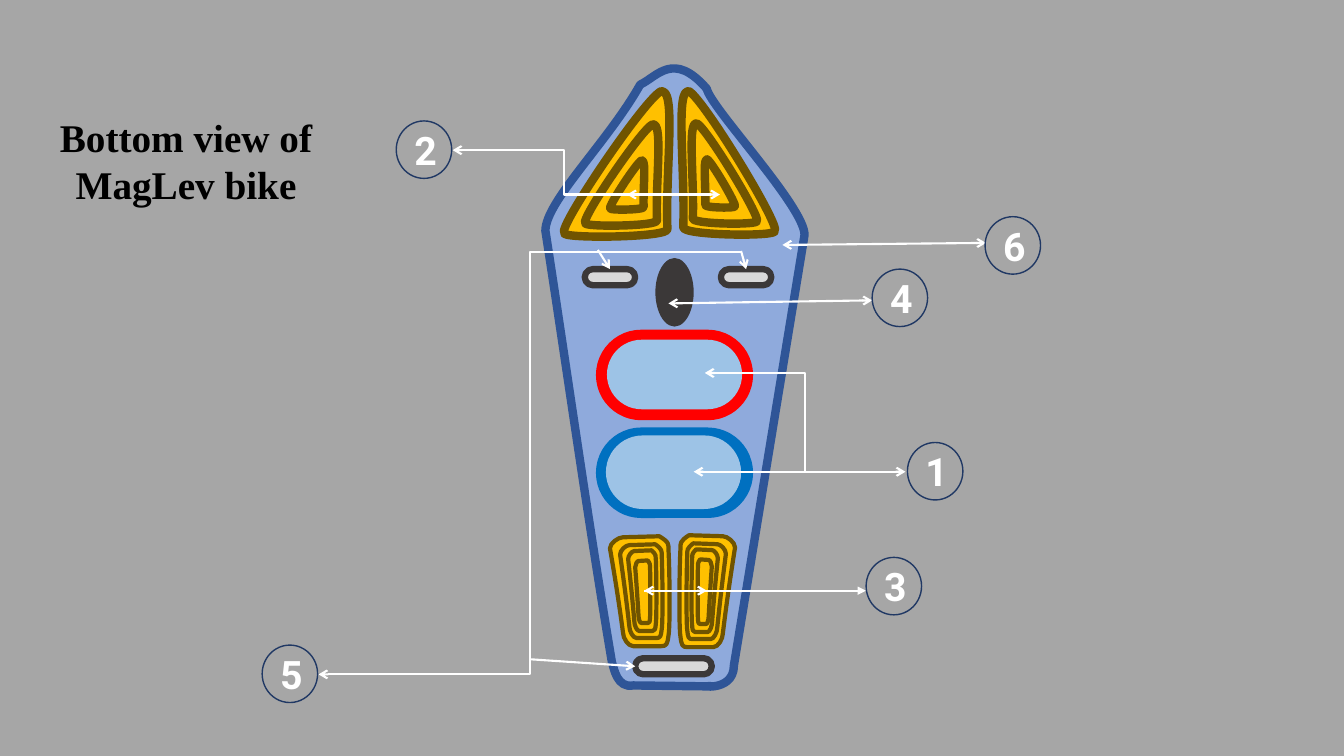
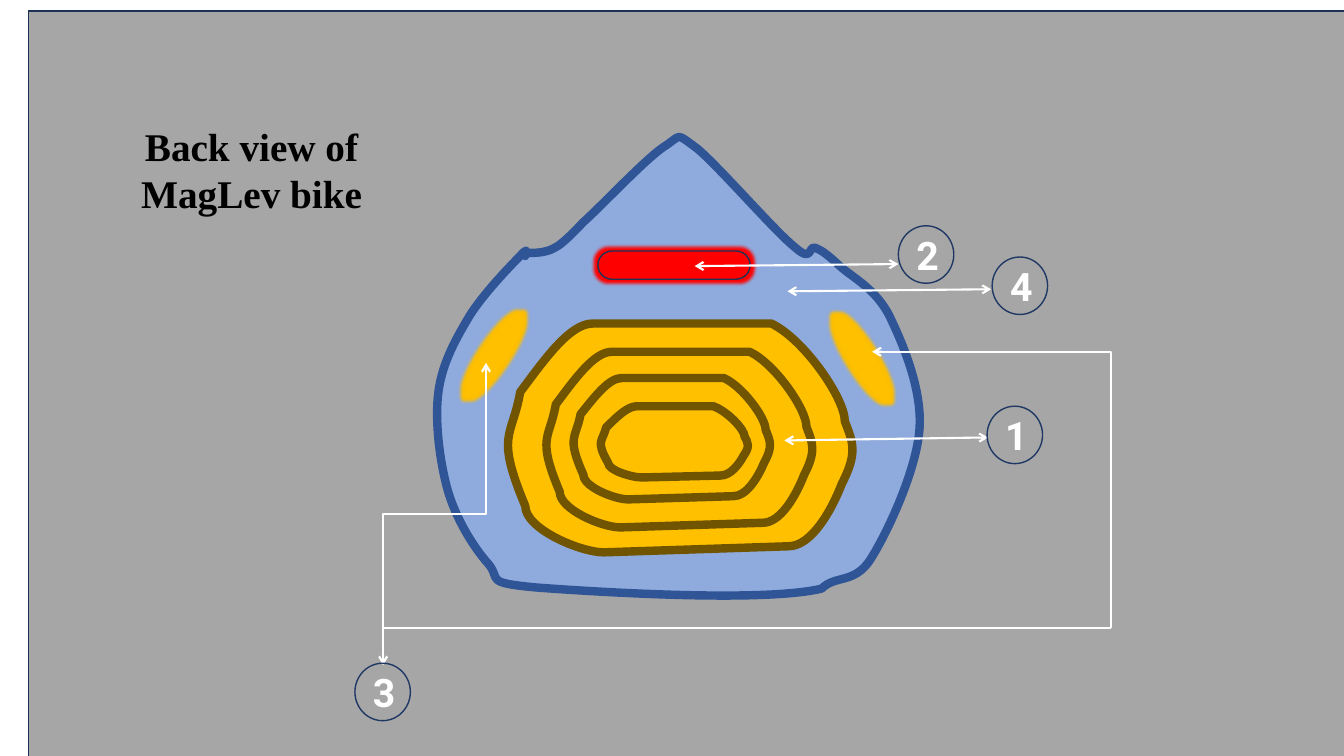
from dataclasses import dataclass
from typing import NamedTuple, Optional

from lxml.etree import SubElement
from pptx import Presentation
from pptx.dml.color import RGBColor
from pptx.enum.shapes import MSO_CONNECTOR, MSO_SHAPE
from pptx.enum.text import MSO_ANCHOR, MSO_AUTO_SIZE, PP_ALIGN
from pptx.oxml.ns import qn
from pptx.util import Inches, Pt


@dataclass(frozen=True)
class Theme:
    backdrop: str = "A6A6A6"
    hull: str = "8FAADC"
    hull_edge: str = "2F5597"
    coil: str = "FFC000"
    coil_edge: str = "705400"
    dark: str = "3B3838"
    light: str = "D9D9D9"
    tank: str = "9DC3E6"
    hot: str = "FF0000"
    cold: str = "0070C0"
    navy: str = "1E3256"
    badge_edge: str = "203864"
    white: str = "FFFFFF"
    black: str = "000000"
    title_font: str = "Times New Roman"
    badge_font: str = "Roboto"
    text_size: int = 28
    arrow_width: float = 1.5
    hull_width: float = 6
    glow: float = 5


THEME = Theme()


class Box(NamedTuple):
    left: float
    top: float
    width: float
    height: float

    def lengths(self) -> list:
        return [Inches(v) for v in self]


class Outline(NamedTuple):
    """A closed path; a step holds one point (line) or three (cubic curve)."""
    box: Box
    start: tuple
    steps: list


class Arrow(NamedTuple):
    begin: tuple
    end: tuple
    head: Optional[str] = "arrow"
    tail: Optional[str] = "arrow"
    geometry: str = "line"
    upright: bool = False


class Badge(NamedTuple):
    number: str
    left: float
    top: float


BOTTOM_HULL = Outline(Box(5.41, 0.68, 2.57, 6.13), (5.41, 2.29), [
    ((5.41, 2), (6.03, 1.41), (6.35, 0.84)),
    ((6.52, 0.76), (6.68, 0.5), (7.01, 0.88)),
    ((7.05, 1.07), (7.98, 2.05), (7.98, 2.33)),
    ((7.28, 6.6),),
    ((7.28, 6.89), (6.86, 6.79), (7.08, 6.81)),
    ((6.28, 6.8),),
    ((6.12, 6.83), (6.09, 6.63), (6.07, 6.57)),
    ((5.83, 5.15), (5.63, 3.71), (5.41, 2.29)),
])
FRONT_COIL = Outline(Box(5.59, 0.9, 1.05, 1.45), (6.62, 2.27), [
    ((6.6, 1.73), (6.7, 0.95), (6.58, 0.91)),
    ((6.53, 0.78), (5.5, 2.29), (5.6, 2.31)),
    ((5.53, 2.37), (6.66, 2.36), (6.62, 2.27)),
])
REAR_COIL = Outline(Box(6.05, 5.32, 0.59, 1.09), (6.05, 5.44), [
    ((6.05, 5.39), (6.13, 5.33), (6.18, 5.33)),
    ((6.54, 5.32),),
    ((6.64, 5.38), (6.63, 5.4), (6.63, 5.45)),
    ((6.64, 5.57), (6.65, 6.22), (6.63, 6.31)),
    ((6.62, 6.39), (6.61, 6.41), (6.56, 6.41)),
    ((6.28, 6.41),),
    ((6.23, 6.41), (6.18, 6.33), (6.18, 6.28)),
    ((6.14, 5.98), (6.1, 5.73), (6.05, 5.44)),
])
BACK_HULL = Outline(Box(4.34, 1.36, 4.78, 4.56), (5.22, 2.51), [
    ((5.31, 2.51), (5.41, 2.51), (5.5, 2.46)),
    ((5.59, 2.42), (5.78, 2.21), (5.78, 2.21)),
    ((5.96, 2.05), (6.39, 1.59), (6.58, 1.46)),
    ((6.77, 1.34), (6.69, 1.31), (6.91, 1.47)),
    ((7.12, 1.64), (7.68, 2.29), (7.88, 2.45)),
    ((8.07, 2.62), (8.01, 2.43), (8.09, 2.46)),
    ((8.16, 2.49), (8.21, 2.53), (8.33, 2.64)),
    ((8.45, 2.75), (8.68, 2.86), (8.82, 3.13)),
    ((8.95, 3.4), (9.15, 3.86), (9.12, 4.26)),
    ((9.09, 4.66), (8.81, 5.27), (8.64, 5.54)),
    ((8.48, 5.8), (8.29, 5.7), (8.15, 5.84)),
    ((7.56, 5.98), (5.88, 5.87), (5.33, 5.83)),
    ((4.78, 5.78), (4.98, 5.75), (4.84, 5.59)),
    ((4.69, 5.42), (4.52, 5.14), (4.44, 4.86)),
    ((4.36, 4.57), (4.31, 4.17), (4.35, 3.88)),
    ((4.39, 3.59), (4.53, 3.35), (4.66, 3.13)),
    ((4.8, 2.91), (5.06, 2.64), (5.15, 2.55)),
    ((5.24, 2.45), (5.22, 2.49), (5.21, 2.54)),
])
BACK_COIL = Outline(Box(5.04, 3.21, 3.42, 2.28), (5.16, 3.89), [
    ((5.4, 3.57), (5.65, 3.21), (5.88, 3.21)),
    ((7.65, 3.21),),
    ((7.97, 3.36), (8.38, 3.95), (8.38, 4.18)),
    ((8.46, 4.39), (8.51, 4.49), (8.35, 4.8)),
    ((8.25, 5.06), (8.05, 5.42), (7.82, 5.42)),
    ((5.99, 5.48),),
    ((5.76, 5.48), (5.21, 5.25), (5.21, 5.02)),
    ((4.91, 4.3), (5.08, 4.35), (5.16, 3.89)),
])


def paint(sp, fill: Optional[str], line: Optional[str] = None, width: float = 1) -> None:
    sp.shadow.inherit = False
    if fill:
        sp.fill.solid()
        sp.fill.fore_color.rgb = RGBColor.from_string(fill)
    else:
        sp.fill.background()
    if line:
        sp.line.color.rgb = RGBColor.from_string(line)
        sp.line.width = Pt(width)
    else:
        sp.line.fill.background()


def add_preset(slide, kind: MSO_SHAPE, box: Box, fill: Optional[str],
               line: Optional[str] = None, width: float = 1):
    sp = slide.shapes.add_shape(kind, *box.lengths())
    if kind == MSO_SHAPE.ROUNDED_RECTANGLE:
        sp.adjustments[0] = 0.5
    paint(sp, fill, line, width)
    return sp


def add_glow(sp, color: str) -> None:
    effects = sp.element.spPr.find(qn("a:effectLst"))
    glow = SubElement(effects, qn("a:glow"), rad=str(Pt(THEME.glow)))
    SubElement(glow, qn("a:srgbClr"), val=color)


def bend(sp, steps: list) -> None:
    """Turn each run of three straight segments that stands for a curve into one."""
    segments = iter(list(sp.element.iter(qn("a:lnTo"))))
    for step in steps:
        group = [next(segments) for _ in step]
        if len(group) == 3:
            first = group[0]
            first.tag = qn("a:cubicBezTo")
            for extra in group[1:]:
                first.append(extra[0])
                extra.getparent().remove(extra)


def add_outline(slide, outline: Outline, fill: str, line: str, width: float,
                box: Optional[Box] = None, mirrored: bool = False) -> None:
    """Draw the outline fitted to box, flipped left to right if mirrored."""
    src, dst = outline.box, box or outline.box
    points = []
    for x, y in [outline.start, *(point for step in outline.steps for point in step)]:
        across = (x - src.left) / src.width
        across = 1 - across if mirrored else across
        down = (y - src.top) / src.height
        points.append((Inches(dst.left + across * dst.width),
                       Inches(dst.top + down * dst.height)))
    builder = slide.shapes.build_freeform(*points[0])
    builder.add_line_segments(points[1:], close=True)
    sp = builder.convert_to_shape()
    bend(sp, outline.steps)
    paint(sp, fill, line, width)


def add_coil(slide, outline: Outline, rings: list, width: float, mirrored: bool = False) -> None:
    for ring in rings:
        add_outline(slide, outline, THEME.coil, THEME.coil_edge, width, Box(*ring), mirrored)


def add_arrow(slide, arrow: Arrow):
    """Draw a connector; an upright one leaves its start vertically."""
    (x1, y1), (x2, y2) = arrow.begin, arrow.end
    if arrow.upright:
        cx, cy = (x1 + x2) / 2, (y1 + y2) / 2
        x1, y1, x2, y2 = cx + y1 - cy, cy - x1 + cx, cx + y2 - cy, cy - x2 + cx
    kind = MSO_CONNECTOR.STRAIGHT if arrow.geometry == "line" else MSO_CONNECTOR.ELBOW
    cxn = slide.shapes.add_connector(kind, Inches(x1), Inches(y1), Inches(x2), Inches(y2))
    cxn.line.color.rgb = RGBColor.from_string(THEME.white)
    cxn.line.width = Pt(THEME.arrow_width)
    sp_pr = cxn.element.spPr
    sp_pr.find(qn("a:prstGeom")).set("prst", arrow.geometry)
    if arrow.upright:
        sp_pr.find(qn("a:xfrm")).set("rot", str(90 * 60000))
    ln = sp_pr.find(qn("a:ln"))
    for tag, style in (("a:headEnd", arrow.head), ("a:tailEnd", arrow.tail)):
        if style:
            SubElement(ln, qn(tag), type=style)
    SubElement(sp_pr, qn("a:effectLst"))
    return cxn


def set_text(sp, text: str, font: str, color: str) -> None:
    tf = sp.text_frame
    tf.text = text
    p = tf.paragraphs[0]
    p.alignment = PP_ALIGN.CENTER
    r = p.runs[0]
    r.font.name, r.font.size, r.font.bold = font, Pt(THEME.text_size), True
    r.font.color.rgb = RGBColor.from_string(color)


def add_badge(slide, badge: Badge) -> None:
    box = Box(badge.left, badge.top, 0.55, 0.57)
    sp = add_preset(slide, MSO_SHAPE.OVAL, box, None, THEME.badge_edge)
    set_text(sp, badge.number, THEME.badge_font, THEME.white)
    sp.text_frame.vertical_anchor = MSO_ANCHOR.MIDDLE


def add_titled_slide(prs, title: str, left: float, top: float):
    slide = prs.slides.add_slide(prs.slide_layouts[5])
    sp = slide.shapes.title
    sp.left, sp.top, sp.width, sp.height = Box(left, top, 2.83, 1.04).lengths()
    set_text(sp, title, THEME.title_font, THEME.black)
    tf = sp.text_frame
    tf.word_wrap, tf.auto_size = True, MSO_AUTO_SIZE.NONE
    tf.vertical_anchor = MSO_ANCHOR.TOP
    return slide


def build_bottom_view(prs) -> None:
    slide = add_titled_slide(prs, "Bottom view of MagLev bike", 0.43, 1.07)
    slide.background.fill.solid()
    slide.background.fill.fore_color.rgb = RGBColor.from_string(THEME.backdrop)
    add_outline(slide, BOTTOM_HULL, THEME.hull, THEME.hull_edge, THEME.hull_width)

    pill = MSO_SHAPE.ROUNDED_RECTANGLE
    for top, color, inner in ((3.33, THEME.hot, Box(6.02, 3.37, 1.34, 0.69)),
                              (4.3, THEME.cold, Box(6.01, 4.32, 1.34, 0.73))):
        add_preset(slide, pill, Box(5.97, top, 1.44, 0.78), None, color, 8.5)
        add_preset(slide, pill, inner, THEME.tank)
    add_preset(slide, MSO_SHAPE.OVAL, Box(6.5, 2.56, 0.38, 0.68), THEME.dark)

    add_coil(slide, FRONT_COIL, [FRONT_COIL.box, (5.8, 1.23, 0.73, 1.01),
                                 (6.05, 1.59, 0.34, 0.49)], 6)
    add_coil(slide, FRONT_COIL, [(6.76, 0.9, 0.93, 1.43), (6.86, 1.22, 0.65, 1),
                                 (6.99, 1.58, 0.3, 0.48)], 6, mirrored=True)
    add_coil(slide, REAR_COIL, [REAR_COIL.box, (6.15, 5.4, 0.42, 0.93),
                                (6.23, 5.46, 0.28, 0.8), (6.3, 5.56, 0.15, 0.62)], 3)
    add_coil(slide, REAR_COIL, [(6.74, 5.31, 0.55, 1.11), (6.81, 5.39, 0.39, 0.95),
                                (6.86, 5.45, 0.26, 0.82), (6.92, 5.55, 0.14, 0.64)],
             3, mirrored=True)

    for box, begin, end, site in (
            (Box(5.8, 2.67, 0.5, 0.16), (5.93, 2.48), (6.05, 2.67), 0),
            (Box(7.15, 2.67, 0.5, 0.16), (7.35, 2.49), (7.4, 2.67), 0),
            (Box(6.3, 6.53, 0.76, 0.16), (5.25, 6.54), (6.3, 6.61), 1)):
        lamp = add_preset(slide, pill, box, THEME.light, THEME.dark, 4.5)
        add_arrow(slide, Arrow(begin, end, head=None)).end_connect(lamp, site)

    for arrow in (
            Arrow((6.22, 1.93), (7.14, 1.93)),
            Arrow((6.69, 1.93), (4.49, 1.49), None, geometry="bentConnector3"),
            Arrow((7.35, 2.5), (3.16, 6.69), None, geometry="bentConnector3"),
            Arrow((6.39, 5.86), (8.59, 5.86), None, "triangle"),
            Arrow((6.39, 5.86), (7.01, 5.86)),
            Arrow((6.63, 3.01), (8.65, 2.98)),
            Arrow((6.99, 3.7), (8.98, 4.68), geometry="bentConnector3"),
            Arrow((8.06, 4.68), (6.88, 4.68), None),
            Arrow((7.76, 2.43), (9.78, 2.41))):
        add_arrow(slide, arrow)
    for badge in (Badge("1", 9, 4.39), Badge("2", 3.93, 1.2), Badge("3", 8.59, 5.53),
                  Badge("4", 8.65, 2.67), Badge("5", 2.6, 6.4), Badge("6", 9.77, 2.15)):
        add_badge(slide, badge)


def build_back_view(prs) -> None:
    slide = add_titled_slide(prs, "Back view of MagLev bike", 1.08, 1.16)
    panel = add_preset(slide, MSO_SHAPE.RECTANGLE, Box(0.28, 0.11, 13.78, 7.79),
                       THEME.backdrop, THEME.navy)
    slide.shapes.element.insert(2, panel.element)
    add_outline(slide, BACK_HULL, THEME.hull, THEME.hull_edge, THEME.hull_width)

    for left, top, angle in ((4.78, 3.03, 33.8), (8.43, 3.06, 328.2)):
        side_lamp = add_preset(slide, MSO_SHAPE.OVAL, Box(left, top, 0.24, 0.99), THEME.coil)
        side_lamp.rotation = angle
        add_glow(side_lamp, THEME.coil)
    tail_lamp = add_preset(slide, MSO_SHAPE.ROUNDED_RECTANGLE, Box(5.93, 2.49, 1.51, 0.28),
                           THEME.hot, THEME.navy)
    add_glow(tail_lamp, THEME.hot)
    add_coil(slide, BACK_COIL, [BACK_COIL.box, (5.42, 3.49, 2.64, 1.75),
                                (5.69, 3.75, 1.95, 1.21), (5.96, 4.03, 1.46, 0.71)], 6)

    for arrow in (
            Arrow((6.89, 2.64), (8.91, 2.62)),
            Arrow((7.81, 2.89), (9.83, 2.87)),
            Arrow((7.78, 4.37), (9.8, 4.34)),
            Arrow((4.82, 3.6), (3.8, 6.6), geometry="bentConnector3", upright=True),
            Arrow((8.65, 3.49), (11.02, 6.23), tail=None, geometry="bentConnector2"),
            Arrow((3.8, 6.23), (11.02, 6.23), None, None)):
        add_arrow(slide, arrow)
    for badge in (Badge("1", 9.79, 4.03), Badge("2", 8.91, 2.24),
                  Badge("3", 3.52, 6.58), Badge("4", 9.84, 2.55)):
        add_badge(slide, badge)


def main() -> None:
    prs = Presentation()
    prs.slide_width, prs.slide_height = Inches(13.33), Inches(7.5)
    build_bottom_view(prs)
    build_back_view(prs)
    prs.save("out.pptx")


if __name__ == "__main__":
    main()
